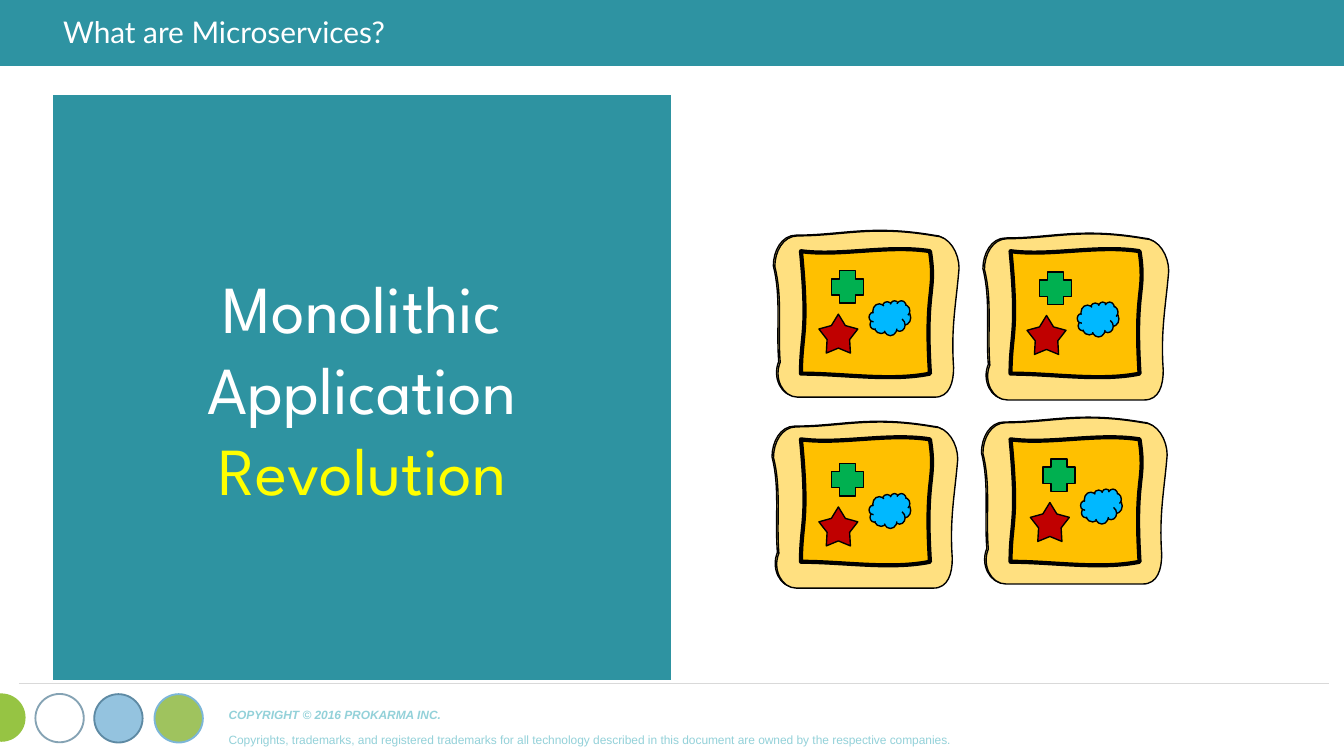
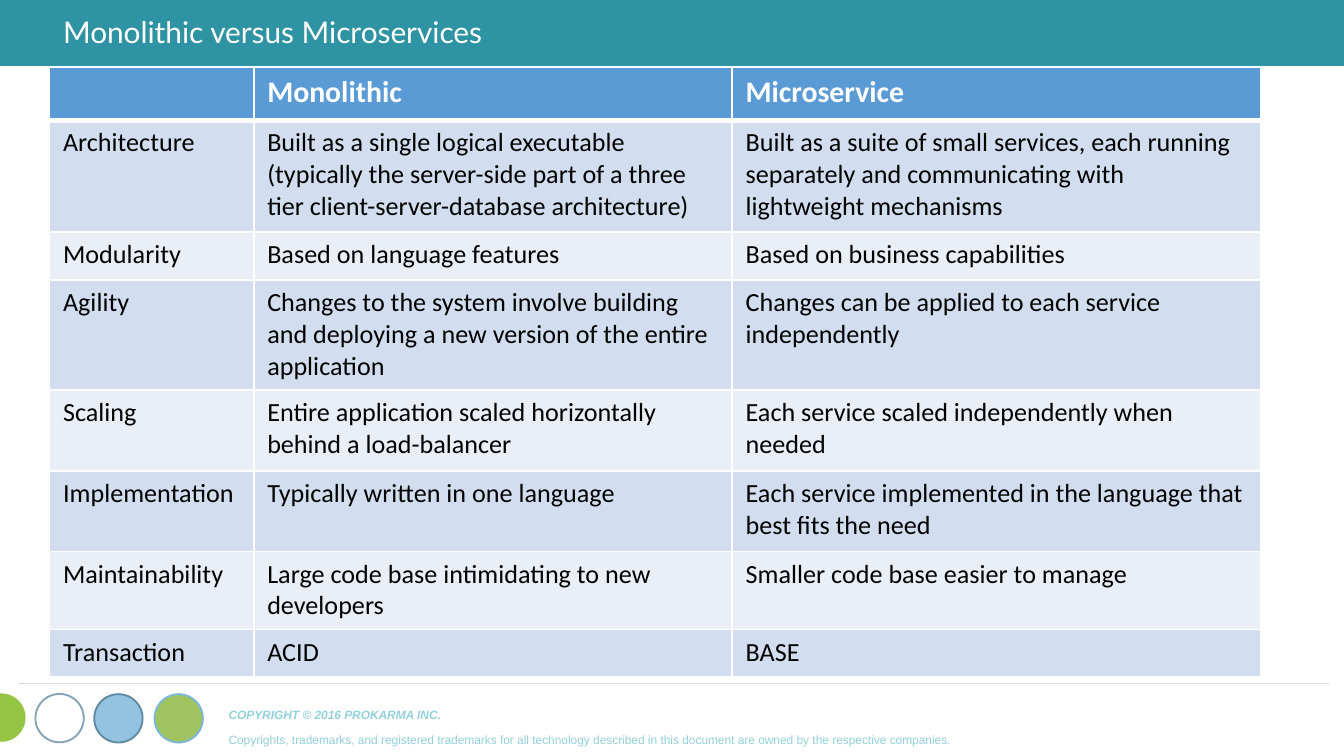
"""Build two slides that introduce microservices and compare them with monoliths."""
import dataclasses

import lxml.etree
import pptx
import pptx.dml.color
import pptx.enum.shapes
import pptx.enum.text
import pptx.oxml
import pptx.oxml.ns
import pptx.util

Pt = pptx.util.Pt
SHAPE = pptx.enum.shapes.MSO_SHAPE
ALIGN = pptx.enum.text.PP_ALIGN
ANCHOR = pptx.enum.text.MSO_ANCHOR
qn = pptx.oxml.ns.qn


@dataclasses.dataclass(frozen=True)
class Theme:
    band: str = "2E93A2"
    panel: str = "2E93A1"
    white: str = "FFFFFF"
    black: str = "000000"
    highlight: str = "FFFF00"
    footer: str = "93D1D9"
    rule: str = "D9D9D9"
    crust: str = "FFE080"
    filling: str = "FFC000"
    star: str = "C00000"
    cloud: str = "00B8FF"
    cross: str = "00B050"
    header: str = "5B9BD5"
    stripes: tuple = ("D2DEEF", "EAEFF7")
    title_font: str = "Lato"
    panel_font: str = "League Spartan"
    table_font: str = "Calibri"
    footer_font: str = "Arial"
    title_size: int = 16
    panel_size: int = 36
    header_size: int = 16
    body_size: int = 14
    footer_size: int = 11


COPYRIGHT = (
    "COPYRIGHT © 2016 PROKARMA INC.\v"
    "Copyrights, trademarks, and registered trademarks for all technology "
    "described in this document are owned by the respective companies."
)

FOOTER_CIRCLES = [
    (-12.2, 371.5, "96C443", 100, None, 100),
    (19, 371.8, None, 100, "588199", 72),
    (82.8, 371.9, "8CB73E", 83, "7CB6D8", 100),
    (50.5, 371.9, "7CB6D8", 81, "5E8AA4", 100),
]

CRUST_CURVES = [
    (0.7, 19.4),
    (0.7, 11.5, 5, 2.9, 13, 2.9),
    (37.4, 2.9, 52.6, -2.9, 86.4, 2.9),
    (94.3, 2.9, 99.4, 12.2, 99.4, 20.2),
    (97.9, 38.9, 95, 51.8, 96.5, 73.4),
    (96.5, 81.4, 94.3, 89.3, 86.4, 89.3),
    (13, 89.3),
    (5, 89.3, 0, 79.2, 3.6, 70.6),
    (2.2, 53.3, 5, 36, 0.7, 19.4),
]

FILLING_CURVES = [
    (0, 1.4),
    (20.9, 4.3, 46.8, -2.2, 69.1, 1.4),
    (72.7, 24.5, 66.2, 20.2, 69.1, 67),
    (48.2, 71.3, 23, 67, 0, 67),
    (0, 45.4, 4.3, 46.1, 0, 1.4),
]

TOASTS = [
    ((414.4, 123.5), (429.1, 133.2), (438.7, 168.3)),
    ((526.7, 125), (541.4, 133.2), (550.2, 169)),
    ((525.9, 223.6), (541.4, 234), (552, 269.2)),
    ((413.7, 225.8), (429.1, 234), (438.7, 271.6)),
]

COMPARISON = [
    ("", "Monolithic", "Microservice"),
    ("Architecture",
     "Built as a single logical executable (typically the server-side part of a "
     "three tier client-server-database architecture)",
     "Built as a suite of small services, each running separately and "
     "communicating with lightweight mechanisms"),
    ("Modularity", "Based on language features", "Based on business capabilities"),
    ("Agility",
     "Changes to the system involve building and deploying a new version of the "
     "entire application",
     "Changes can be applied to each service independently"),
    ("Scaling",
     "Entire application scaled horizontally behind a load-balancer",
     "Each service scaled independently when needed"),
    ("Implementation",
     "Typically written in one language",
     "Each service implemented in the language that best fits the need"),
    ("Maintainability",
     "Large code base intimidating to new developers",
     "Smaller code base easier to manage"),
    ("Transaction", "ACID", "BASE"),
]
COLUMN_WIDTHS = [109.4, 256.3, 283]
ROW_HEIGHTS = [28.5, 59.9, 25.7, 59, 43.2, 43.2, 41.8, 25.4]


def rgb(color):
    return pptx.dml.color.RGBColor.from_string(color)


class SlideWriter:
    def __init__(self, deck, theme):
        self.deck = deck
        self.theme = theme
        self.page = None

    def new_page(self, title):
        self.page = self.deck.slides.add_slide(self.deck.slide_layouts[5])
        theme = self.theme
        self.shape(SHAPE.RECTANGLE, -1.4, 0, 725, 35.3, theme.band)
        self.footer()
        box = self.page.shapes.title
        box.left, box.top, box.width, box.height = Pt(26.6), Pt(5.4), Pt(620.6), Pt(25.2)
        frame = box.text_frame
        frame.text = title
        frame.word_wrap = True
        frame.auto_size = pptx.enum.text.MSO_AUTO_SIZE.NONE
        frame.vertical_anchor = ANCHOR.MIDDLE
        para = frame.paragraphs[0]
        para.alignment = ALIGN.LEFT
        para.line_spacing = 0.9
        self.format(para.runs[0], theme.title_font, theme.title_size, theme.white)
        box._element.getparent().append(box._element)

    def format(self, span, font, size, color, bold=False, italic=False):
        span.font.name = font
        span.font.size = Pt(size)
        span.font.color.rgb = rgb(color)
        span.font.bold = bold
        span.font.italic = italic

    def paint(self, shape, fill, line, width):
        shape.shadow.inherit = False
        if fill:
            shape.fill.solid()
            shape.fill.fore_color.rgb = rgb(fill)
        else:
            shape.fill.background()
        if line:
            shape.line.color.rgb = rgb(line)
            shape.line.width = Pt(width)
        else:
            shape.line.fill.background()
        return shape

    def shape(self, kind, left, top, width, height, fill=None, line=None, weight=0.75):
        shape = self.page.shapes.add_shape(kind, Pt(left), Pt(top), Pt(width), Pt(height))
        return self.paint(shape, fill, line, weight)

    def opacity(self, holder, percent):
        color = holder.find(".//" + qn("a:srgbClr"))
        lxml.etree.SubElement(color, qn("a:alpha")).set("val", str(percent * 1000))

    def outline(self, curves, origin, fill, weight):
        points = [(Pt(origin[0] + curve[-2]), Pt(origin[1] + curve[-1])) for curve in curves]
        builder = self.page.shapes.build_freeform(*points[0], scale=1.0)
        builder.add_line_segments(points[1:], close=True)
        shape = builder.convert_to_shape()
        left, top = shape.left, shape.top
        segments = list(shape._element.spPr.iter(qn("a:lnTo")))
        for segment, curve in zip(segments, curves[1:]):
            if len(curve) == 2:
                continue
            segment.tag = qn("a:cubicBezTo")
            for index in (0, 1):
                x, y = curve[2 * index:2 * index + 2]
                handle = lxml.etree.Element(qn("a:pt"))
                handle.set("x", str(Pt(origin[0] + x) - left))
                handle.set("y", str(Pt(origin[1] + y) - top))
                segment.insert(index, handle)
        return self.paint(shape, fill, self.theme.black, weight)

    def rule(self, left, top, right, color, weight):
        line = self.page.shapes.add_connector(
            pptx.enum.shapes.MSO_CONNECTOR.STRAIGHT, Pt(left), Pt(top), Pt(right), Pt(top))
        line.line.color.rgb = rgb(color)
        line.line.width = Pt(weight)
        lxml.etree.SubElement(line._element.spPr, qn("a:effectLst"))

    def footer(self):
        theme = self.theme
        box = self.page.shapes.add_textbox(Pt(115.4), Pt(374.4), Pt(542.9), Pt(25.2))
        box.text_frame.word_wrap = True
        para = box.text_frame.paragraphs[0]
        para.text = COPYRIGHT
        for span, strong in zip(para.runs, (True, False)):
            self.format(span, theme.footer_font, theme.footer_size, theme.footer, strong, strong)
            span._r.get_or_add_rPr().set("baseline", "30000")
        for left, top, fill, fill_opacity, line, line_opacity in FOOTER_CIRCLES:
            circle = self.shape(SHAPE.OVAL, left, top, 25.9, 25.9, fill, line, 1)
            if fill_opacity < 100:
                self.opacity(circle._element.spPr.find(qn("a:solidFill")), fill_opacity)
            if line_opacity < 100:
                self.opacity(circle._element.spPr.find(qn("a:ln")), line_opacity)
        self.rule(10.1, 366.2, 712.1, theme.rule, 0.5)

    def panel(self, left, top, width, height, lines):
        theme = self.theme
        box = self.shape(SHAPE.RECTANGLE, left, top, width, height, theme.panel, theme.white)
        frame = box.text_frame
        frame.vertical_anchor = ANCHOR.MIDDLE
        frame.text = "\n".join(text for text, color in lines)
        for para, (text, color) in zip(frame.paragraphs, lines):
            para.alignment = ALIGN.CENTER
            for span in para.runs:
                self.format(span, theme.panel_font, theme.panel_size, color)

    def toast(self, crust, filling, star):
        theme = self.theme
        x, y = crust
        for corner in ((x - 0.8, y - 0.4), crust):
            self.outline(CRUST_CURVES, corner, theme.crust, 0.75)
        self.outline(FILLING_CURVES, filling, theme.filling, 2.25)
        x, y = star
        topping = self.shape(SHAPE.STAR_5_POINT, x, y, 20.9, 20.9, theme.star, theme.black)
        topping.adjustments[0] = 0.289
        self.shape(SHAPE.CLOUD, x + 26.9, y - 7.2, 22.3, 18.7, theme.cloud, theme.black)
        self.shape(SHAPE.CROSS, x + 6.7, y - 23.2, 17.3, 17.3, theme.cross, theme.black)

    def border(self, cell, side, weight):
        properties = cell._tc.get_or_add_tcPr()
        line = lxml.etree.SubElement(properties, qn("a:ln" + side))
        line.set("w", str(Pt(weight)))
        fill = lxml.etree.SubElement(line, qn("a:solidFill"))
        lxml.etree.SubElement(fill, qn("a:srgbClr")).set("val", self.theme.white)

    def table(self, left, top, widths, heights, rows):
        theme = self.theme
        table = self.page.shapes.add_table(
            len(rows), len(widths), Pt(left), Pt(top),
            Pt(sum(widths)), Pt(sum(heights))).table
        for column, width in zip(table.columns, widths):
            column.width = Pt(width)
        for index, (row, height, texts) in enumerate(zip(table.rows, heights, rows)):
            row.height = Pt(height)
            header = index == 0
            fill = theme.header if header else theme.stripes[(index - 1) % 2]
            size = theme.header_size if header else theme.body_size
            color = theme.white if header else theme.black
            weights = {"L": 1, "R": 1, "T": 3 if index == 1 else 1, "B": 3 if header else 1}
            for cell, text in zip(row.cells, texts):
                for side, weight in weights.items():
                    self.border(cell, side, weight)
                cell.fill.solid()
                cell.fill.fore_color.rgb = rgb(fill)
                para = cell.text_frame.paragraphs[0]
                if not text:
                    ending = lxml.etree.SubElement(para._p, qn("a:endParaRPr"))
                    ending.set("sz", str(size * 100))
                    continue
                para.text = text
                self.format(para.runs[0], theme.table_font, size, color, header)


def main():
    deck = pptx.Presentation()
    deck.slide_width, deck.slide_height = Pt(720), Pt(405)
    theme = Theme()
    writer = SlideWriter(deck, theme)

    writer.new_page("What are Microservices?")
    writer.panel(28.1, 50.4, 331.9, 314.6, [
        ("Monolithic\vApplication", theme.white), ("Revolution", theme.highlight)])
    for crust, filling, star in TOASTS:
        writer.toast(crust, filling, star)

    writer.new_page("Monolithic versus Microservices")
    writer.table(26.6, 36, COLUMN_WIDTHS, ROW_HEIGHTS, COMPARISON)

    deck.save("out.pptx")


if __name__ == "__main__":
    main()
